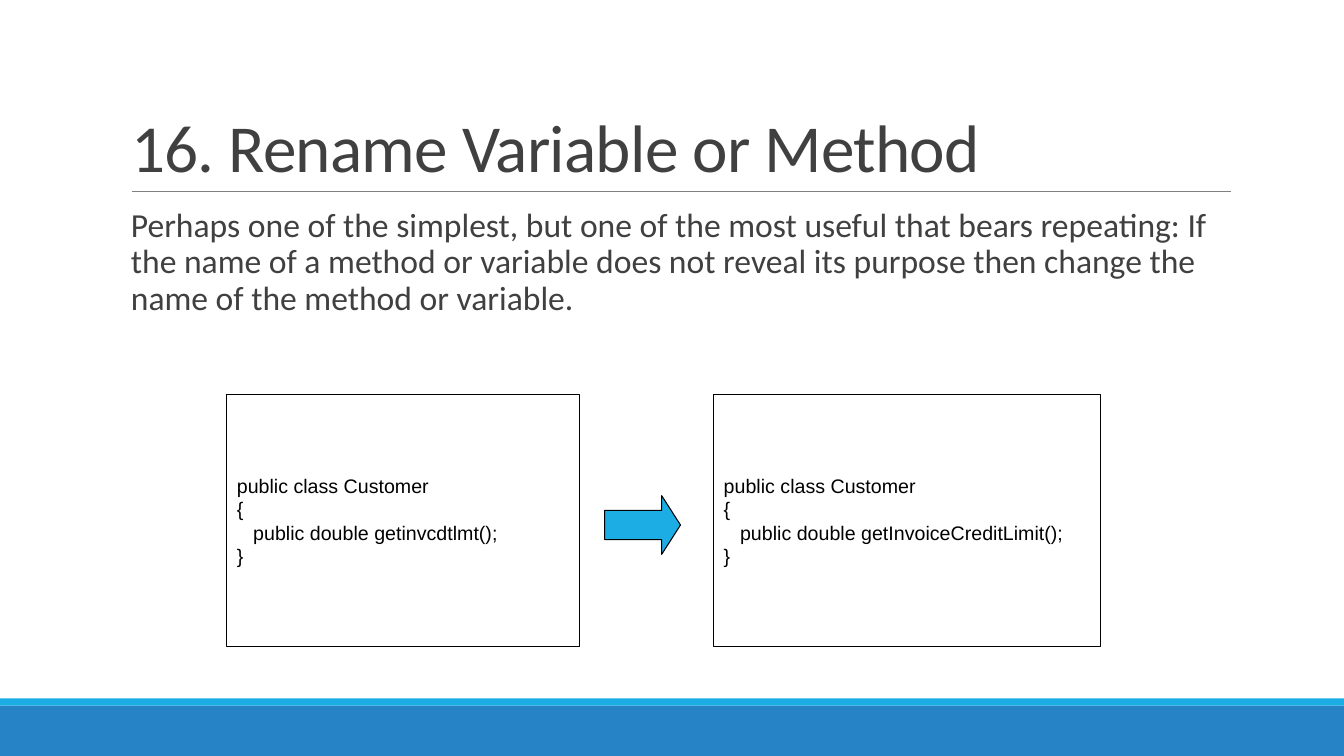
from dataclasses import dataclass

from pptx import Presentation
from pptx.dml.color import RGBColor
from pptx.enum import shapes, text
from pptx.util import Cm, Pt

BLUE = RGBColor(0x26, 0x83, 0xC6)
CYAN = RGBColor(0x1C, 0xAD, 0xE4)
GRAY = RGBColor(0x80, 0x80, 0x80)
DARK = RGBColor(0x40, 0x40, 0x40)
BLACK = RGBColor(0, 0, 0)
KIND = shapes.MSO_SHAPE


@dataclass
class Block:
    left: float
    top: float
    width: float
    height: float
    kind: KIND = KIND.RECTANGLE
    fill: RGBColor | None = None
    line: RGBColor | None = None
    code: tuple[str, ...] = ()


def style(para, name: str, size: float, color: RGBColor) -> None:
    para.font.name = name
    para.font.size = Pt(size)
    para.font.color.rgb = color


def draw(slide, block: Block):
    shape = slide.shapes.add_shape(
        block.kind, Cm(block.left), Cm(block.top), Cm(block.width), Cm(block.height))
    shape.shadow.inherit = False
    if block.fill is None:
        shape.fill.background()
    else:
        shape.fill.solid()
        shape.fill.fore_color.rgb = block.fill
    if block.line is None:
        shape.line.fill.background()
    else:
        shape.line.color.rgb = block.line
        shape.line.width = Pt(0.75)
    if block.code:
        frame = shape.text_frame
        frame.word_wrap = False
        frame.vertical_anchor = text.MSO_ANCHOR.MIDDLE
        frame.text = "\n".join(block.code)
        for para in frame.paragraphs:
            para.alignment = text.PP_ALIGN.LEFT
            style(para, "Arial", 14, BLACK)
    return shape


def listing(call: str) -> tuple[str, ...]:
    return ("public class Customer", "{", f"   public double {call}();", "}")


def main() -> None:
    deck = Presentation()
    deck.slide_width, deck.slide_height = Cm(33.87), Cm(19.05)
    slide = deck.slides.add_slide(deck.slide_layouts[5])

    # Footer bands
    draw(slide, Block(0, 17.78, 33.87, 1.27, fill=BLUE))
    draw(slide, Block(0, 17.6, 33.87, 0.18, fill=CYAN))

    # Title and rule
    title = slide.shapes.title
    title.left, title.top, title.width, title.height = Cm(3.05), Cm(0.79), Cm(27.94), Cm(4.04)
    frame = title.text_frame
    frame.text = "16. Rename Variable or Method"
    frame.word_wrap = True
    frame.auto_size = text.MSO_AUTO_SIZE.NONE
    frame.vertical_anchor = text.MSO_ANCHOR.BOTTOM
    head = frame.paragraphs[0]
    head.alignment = text.PP_ALIGN.LEFT
    head.line_spacing = 0.85
    style(head, "Calibri", 48, DARK)
    head.runs[0].font._element.set("spc", "-50")

    rule = slide.shapes.add_connector(
        shapes.MSO_CONNECTOR.STRAIGHT, Cm(3.32), Cm(4.83), Cm(31.01), Cm(4.83))
    rule.line.color.rgb = GRAY
    rule.line.width = Pt(0.5)
    props = rule._element.spPr
    props.append(props.makeelement(
        "{http://schemas.openxmlformats.org/drawingml/2006/main}effectLst", {}))

    # Explanation
    frame = slide.shapes.add_textbox(Cm(3.05), Cm(5.13), Cm(27.94), Cm(11.18)).text_frame
    frame.word_wrap = True
    frame.margin_left, frame.margin_right = Cm(0.25), 0
    frame.text = (
        "Perhaps one of the simplest, but one of the most useful that bears repeating: "
        "If the name of a method or variable does not reveal its purpose then change "
        "the name of the method or variable.")
    body = frame.paragraphs[0]
    body.line_spacing = 0.9
    style(body, "Calibri", 24, DARK)

    # Code before and after
    draw(slide, Block(5.72, 9.95, 8.89, 6.35, line=BLACK, code=listing("getinvcdtlmt")))
    arrow = draw(slide, Block(15.24, 12.49, 1.91, 1.48, KIND.RIGHT_ARROW, CYAN, BLACK))
    arrow.adjustments[1] = 0.32
    draw(slide, Block(17.99, 9.95, 9.74, 6.35, line=BLACK, code=listing("getInvoiceCreditLimit")))

    deck.save("out.pptx")


if __name__ == "__main__":
    main()
